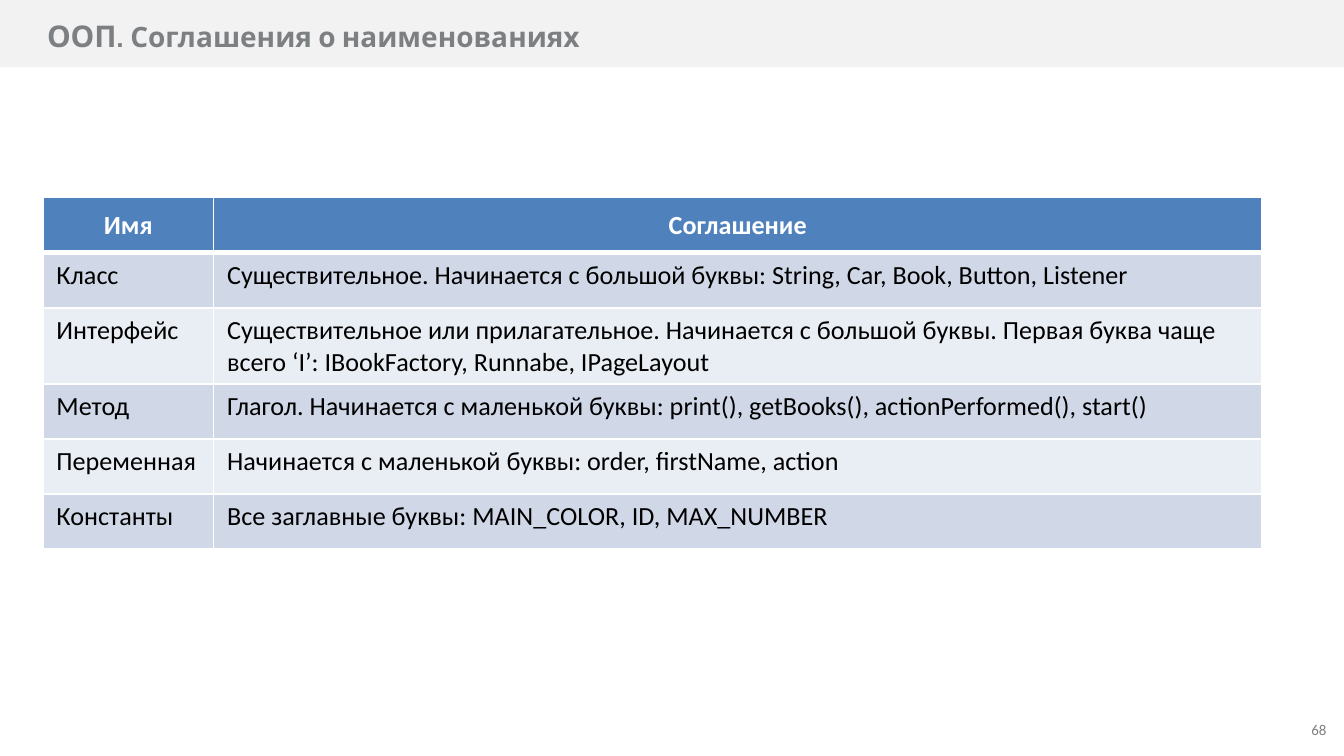
from lxml import etree
from pptx import Presentation
from pptx import util as u
from pptx.dml.color import RGBColor
from pptx.enum import shapes, text
from pptx.oxml.ns import qn

PAGE_WIDTH = 10
PAGE_HEIGHT = PAGE_WIDTH * 9 / 16

WHITE = RGBColor(0xFF, 0xFF, 0xFF)
BLACK = RGBColor(0, 0, 0)
BAND = RGBColor(0xF2, 0xF2, 0xF2)
TITLE = RGBColor(0x7D, 0x80, 0x83)
NUMBER = RGBColor(0x80, 0x80, 0x80)
HEADER = RGBColor(0x4F, 0x81, 0xBD)
ROW_FILLS = (RGBColor(0xD0, 0xD8, 0xE8), RGBColor(0xE9, 0xED, 0xF4))

CONVENTIONS = [
    ("Имя", "Соглашение"),
    ("Класс", "Существительное. Начинается с большой буквы: "
              "String, Car, Book, Button, Listener"),
    ("Интерфейс", "Существительное или прилагательное. Начинается с большой буквы. "
                  "Первая буква чаще всего ‘I’: IBookFactory, Runnabe, IPageLayout"),
    ("Метод", "Глагол. Начинается с маленькой буквы: "
              "print(), getBooks(), actionPerformed(), start()"),
    ("Переменная", "Начинается с маленькой буквы: order, firstName, action"),
    ("Константы", "Все заглавные буквы: MAIN_COLOR, ID, MAX_NUMBER"),
]


class SlideBuilder:
    title_font = {"name": "Cabin", "bold": True, "color": TITLE}
    number_font = {"name": "Calibri", "size": u.Pt(8), "color": NUMBER}
    header_font = {"name": "Calibri", "size": u.Pt(14), "bold": True, "color": WHITE}
    body_font = {**header_font, "bold": False, "color": BLACK}
    frame_format = {
        "margin_left": u.Inches(0.08), "margin_right": u.Inches(0.08),
        "margin_top": u.Inches(0.04), "margin_bottom": u.Inches(0.04),
        "vertical_anchor": text.MSO_ANCHOR.MIDDLE, "word_wrap": True,
    }

    def __init__(self, deck):
        self.slide = deck.slides.add_slide(deck.slide_layouts[5])

    def span(self, para, words, font):
        run = para.add_run()
        run.text = words
        for key, value in font.items():
            if key == "color":
                run.font.color.rgb = value
            else:
                setattr(run.font, key, value)

    def frame(self, shape):
        """Format the text frame and return its first paragraph."""
        for key, value in self.frame_format.items():
            setattr(shape.text_frame, key, value)
        return shape.text_frame.paragraphs[0]

    def band(self, left, top, width, height):
        """Filled strip placed behind everything else."""
        strip = self.slide.shapes.add_shape(
            shapes.MSO_SHAPE.RECTANGLE, *map(u.Inches, (left, top, width, height)))
        strip.shadow.inherit = False
        strip.fill.solid()
        strip.fill.fore_color.rgb = BAND
        strip.line.fill.background()
        tree = strip._element.getparent()
        tree.insert(2, strip._element)

    def title(self, parts, left, top, width, height):
        box = self.slide.shapes.title
        box.left, box.top, box.width, box.height = map(
            u.Inches, (left, top, width, height))
        para = self.frame(box)
        box.text_frame.auto_size = text.MSO_AUTO_SIZE.NONE
        para.alignment = text.PP_ALIGN.LEFT
        for words, size in parts:
            self.span(para, words, {**self.title_font, "size": u.Pt(size)})

    def page_number(self, number, left, top, width, height):
        box = self.slide.shapes.add_textbox(
            *map(u.Inches, (left, top, width, height)))
        para = self.frame(box)
        para.alignment = text.PP_ALIGN.RIGHT
        self.span(para, str(number), self.number_font)

    def borders(self, cell, **widths):
        properties = cell._tc.get_or_add_tcPr()
        for index, side in enumerate("LRTB"):
            line = etree.Element(qn(f"a:ln{side}"), w=str(u.Pt(widths.get(side, 1))))
            fill = etree.SubElement(line, qn("a:solidFill"))
            etree.SubElement(fill, qn("a:srgbClr"), val=str(WHITE))
            properties.insert(index, line)

    def table(self, rows, left, top, widths, row_height):
        grid = self.slide.shapes.add_table(
            len(rows), len(widths), u.Inches(left), u.Inches(top),
            u.Inches(sum(widths)), u.Inches(row_height * len(rows))).table
        for column, width in zip(grid.columns, widths):
            column.width = u.Inches(width)
        for r, row in enumerate(rows):
            grid.rows[r].height = u.Inches(row_height)
            for c, words in enumerate(row):
                cell = grid.cell(r, c)
                para = cell.text_frame.paragraphs[0]
                cell.fill.solid()
                if r == 0:
                    cell.fill.fore_color.rgb = HEADER
                    cell.vertical_anchor = text.MSO_ANCHOR.MIDDLE
                    para.alignment = text.PP_ALIGN.CENTER
                    self.span(para, words, self.header_font)
                else:
                    cell.fill.fore_color.rgb = ROW_FILLS[(r - 1) % 2]
                    self.span(para, words, self.body_font)
                self.borders(cell, T=3 if r == 1 else 1, B=3 if r == 0 else 1)


def main():
    deck = Presentation()
    deck.slide_width, deck.slide_height = map(u.Inches, (PAGE_WIDTH, PAGE_HEIGHT))
    page = SlideBuilder(deck)
    page.band(0, 0, PAGE_WIDTH, 0.5)
    page.title([("ООП. ", 16), ("Соглашения о наименованиях", 15)],
               0.27, 0.09, 8.11, 0.35)
    page.page_number(68, 7.62, 5.28, 2.33, 0.3)
    page.table(CONVENTIONS, 0.32, 1.47, (1.27, 7.8), 0.41)
    deck.save("out.pptx")


if __name__ == "__main__":
    main()
